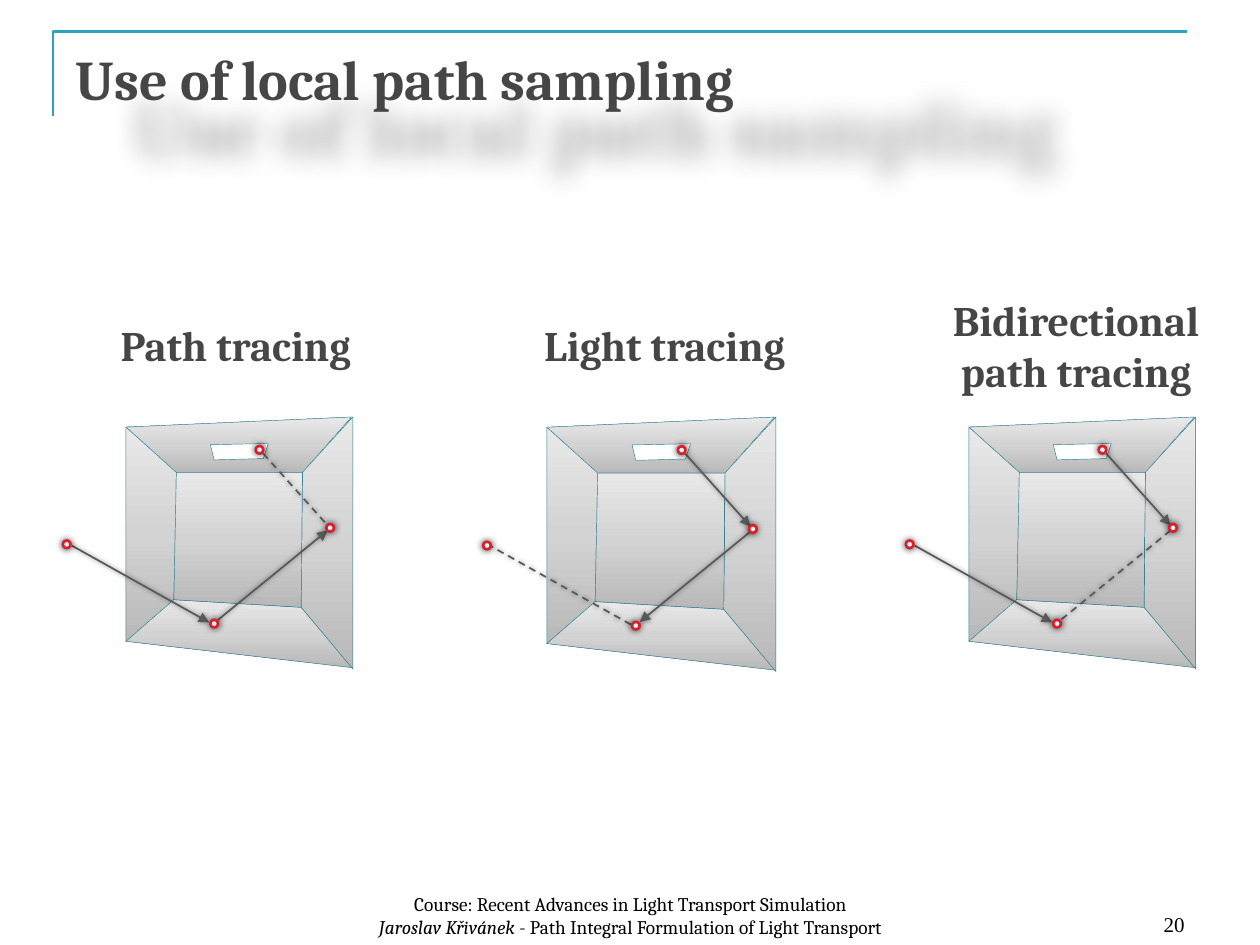
from lxml.etree import SubElement
from pptx import Presentation
from pptx.dml.color import RGBColor
from pptx.enum.dml import MSO_LINE
from pptx.enum.shapes import MSO_CONNECTOR, MSO_SHAPE
from pptx.enum.text import MSO_ANCHOR, MSO_AUTO_SIZE, PP_ALIGN
from pptx.oxml import parse_xml
from pptx.oxml.ns import nsdecls, qn
from pptx.util import Inches, Pt

COLORS = {
    "frame": "2DA2BF", "heading": "464646", "footer": "000000",
    "wall_edge": "227A8F", "lamp": "FFFFFF", "ray": "595959",
    "vertex": "DEF5FA", "vertex_edge": "DA1F28", "shadow": "000000",
}
WALL_STOPS = [(0, "B8B8B8"), (50, "D3D3D3"), (100, "E9E9E9")]

# Room geometry in inches from the left edge and top of the room.
ROOM_TOP = 3.31
WALLS = [
    [(0, 0.08), (1.79, 0), (1.4, 0.44), (0.4, 0.44)],
    [(0, 1.78), (0.38, 1.45), (0.4, 0.44), (0, 0.08)],
    [(0, 1.78), (1.8, 1.99), (1.39, 1.51), (0.38, 1.45)],
    [(1.8, 2), (1.8, 0), (1.4, 0.44), (1.39, 1.51)],
    [(0.4, 0.44), (1.4, 0.44), (1.39, 1.51), (0.38, 1.45)],
]
LAMP = [(1.09, 0.33), (1.13, 0.21), (0.67, 0.22), (0.7, 0.34)]
VERTICES = [(-0.47, 1.01), (1.06, 0.26), (1.62, 0.88), (0.7, 1.64)]
VERTEX_SIZE = 0.06
RAYS = [
    ((0.66, 1.63), (-0.43, 1.02)),
    ((1.6, 0.9), (0.73, 1.61)),
    ((1.09, 0.29), (1.6, 0.86)),
]
# Room left, room scale, and for each ray its arrow end or "dash".
SCENES = [
    (1, 1, ["head", "head", "dash"]),
    (4.34, 1.01, ["dash", "tail", "tail"]),
    (7.69, 1, ["head", "dash", "tail"]),
]
CAPTIONS = [
    ("Path tracing", 0.71, 2.49, 2.32, 0.5),
    ("Light tracing", 4.06, 2.49, 2.43, 0.5),
    ("Bidirectional\vpath tracing", 7.3, 2.29, 2.48, 0.91),
]


def rgb(name):
    return RGBColor.from_string(COLORS[name])


def add_shadow(shape, blur, opacity, **placement):
    effects = SubElement(shape._element.spPr, qn("a:effectLst"))
    shadow = SubElement(effects, qn("a:outerShdw"), blurRad=str(Pt(blur)), **placement)
    color = SubElement(shadow, qn("a:srgbClr"), val=COLORS["shadow"])
    SubElement(color, qn("a:alpha"), val=str(opacity * 1000))


def set_line(shape, color, width):
    shape.line.color.rgb = rgb(color)
    shape.line.width = Pt(width)


def fill_wall(wall):
    """Fill with the three-stop gradient, darkest at the bottom."""
    stops = "".join(
        f'<a:gs pos="{pos * 1000}"><a:srgbClr val="{color}"/></a:gs>'
        for pos, color in WALL_STOPS
    )
    gradient = parse_xml(
        f'<a:gradFill {nsdecls("a")} rotWithShape="1"><a:gsLst>{stops}</a:gsLst>'
        '<a:lin ang="16200000" scaled="0"/></a:gradFill>'
    )
    wall._element.spPr.find(qn("a:custGeom")).addnext(gradient)


def add_outline(shapes, points, color, width, close=True):
    (start_x, start_y), *others = [(Inches(x), Inches(y)) for x, y in points]
    builder = shapes.build_freeform(start_x, start_y)
    builder.add_line_segments(others, close=close)
    outline = builder.convert_to_shape()
    set_line(outline, color, width)
    outline.shadow.inherit = False
    return outline


def add_ray(shapes, start, end, style):
    ray = shapes.add_connector(
        MSO_CONNECTOR.STRAIGHT, *(Inches(value) for value in (*start, *end))
    )
    set_line(ray, "ray", 1)
    if style == "dash":
        ray.line.dash_style = MSO_LINE.DASH
    else:
        SubElement(ray.line._get_or_add_ln(), qn(f"a:{style}End"), type="triangle")
    add_shadow(ray, 3, 50)


def add_vertex(shapes, center):
    left, top = (Inches(value - VERTEX_SIZE / 2) for value in center)
    vertex = shapes.add_shape(
        MSO_SHAPE.OVAL, left, top, Inches(VERTEX_SIZE), Inches(VERTEX_SIZE)
    )
    vertex.fill.solid()
    vertex.fill.fore_color.rgb = rgb("vertex")
    set_line(vertex, "vertex_edge", 1.5)
    add_shadow(vertex, 4, 80)


def add_scene(slide, left, scale, ray_styles):
    def place(point):
        return left + point[0] * scale, ROOM_TOP + point[1] * scale

    shapes = slide.shapes.add_group_shape().shapes
    for corners in WALLS:
        fill_wall(add_outline(shapes, map(place, corners), "wall_edge", 0.25))
    lamp = add_outline(shapes, map(place, LAMP), "wall_edge", 0.25)
    lamp.fill.solid()
    lamp.fill.fore_color.rgb = rgb("lamp")
    for (start, end), style in zip(RAYS, ray_styles):
        add_ray(shapes, place(start), place(end), style)
    for center in VERTICES:
        add_vertex(shapes, place(center))


def format_font(font, size, color, name="Cambria", bold=False):
    font.name, font.size, font.bold = name, Pt(size), bold
    font.color.rgb = rgb(color)


def add_frame(slide):
    corner = [(0.42, 0.92), (0.42, 0.25), (9.42, 0.25)]
    add_outline(slide.shapes, corner, "frame", 1.5, close=False).fill.background()


def add_title(slide):
    title = slide.shapes.title
    title.left, title.top, title.width, title.height = map(Inches, (0.5, 0.3, 9, 1.25))
    title.text_frame.text = "Use of local path sampling"
    title.text_frame.vertical_anchor = MSO_ANCHOR.TOP
    paragraph = title.text_frame.paragraphs[0]
    paragraph.alignment = PP_ALIGN.LEFT
    format_font(paragraph.runs[0].font, 32, "heading", bold=True)
    add_shadow(title, 15, 30, dist=str(Inches(0.25)), dir="1920000",
               sx="140000", sy="140000", algn="tl", rotWithShape="0")


def add_text(slide, left, top, width, height, align):
    """Add an empty text box and return its frame and first paragraph."""
    box = slide.shapes.add_textbox(*map(Inches, (left, top, width, height)))
    paragraph = box.text_frame.paragraphs[0]
    paragraph.alignment = align
    return box.text_frame, paragraph


def add_caption(slide, text, *bounds):
    frame, paragraph = add_text(slide, *bounds, PP_ALIGN.CENTER)
    frame.word_wrap = False
    frame.auto_size = MSO_AUTO_SIZE.SHAPE_TO_FIT_TEXT
    paragraph.text = text
    for run in paragraph.runs:
        format_font(run.font, 24, "heading", bold=True)


def add_footer(slide):
    number_frame, number = add_text(slide, 7.17, 6.98, 2.33, 0.5, PP_ALIGN.RIGHT)
    number.text = "20"
    format_font(number.runs[0].font, 12, "footer", "Times New Roman")

    course_frame, course = add_text(slide, 1.54, 7, 6.93, 0.5, PP_ALIGN.CENTER)
    course.text = "Course: Recent Advances in Light Transport Simulation\v"
    author, talk = course.add_run(), course.add_run()
    author.text = "Jaroslav Křivánek "
    talk.text = "- Path Integral Formulation of Light Transport"
    for run in course.runs:
        format_font(run.font, 11, "footer")
    author.font.italic = True

    for frame in (number_frame, course_frame):
        frame.word_wrap = True
        frame.vertical_anchor = MSO_ANCHOR.BOTTOM


def main():
    presentation = Presentation()
    presentation.slide_width, presentation.slide_height = Inches(10), Inches(7.5)
    slide = presentation.slides.add_slide(presentation.slide_layouts[5])
    add_frame(slide)
    add_title(slide)
    for scene in SCENES:
        add_scene(slide, *scene)
    for caption in CAPTIONS:
        add_caption(slide, *caption)
    add_footer(slide)
    presentation.save("out.pptx")


if __name__ == "__main__":
    main()
